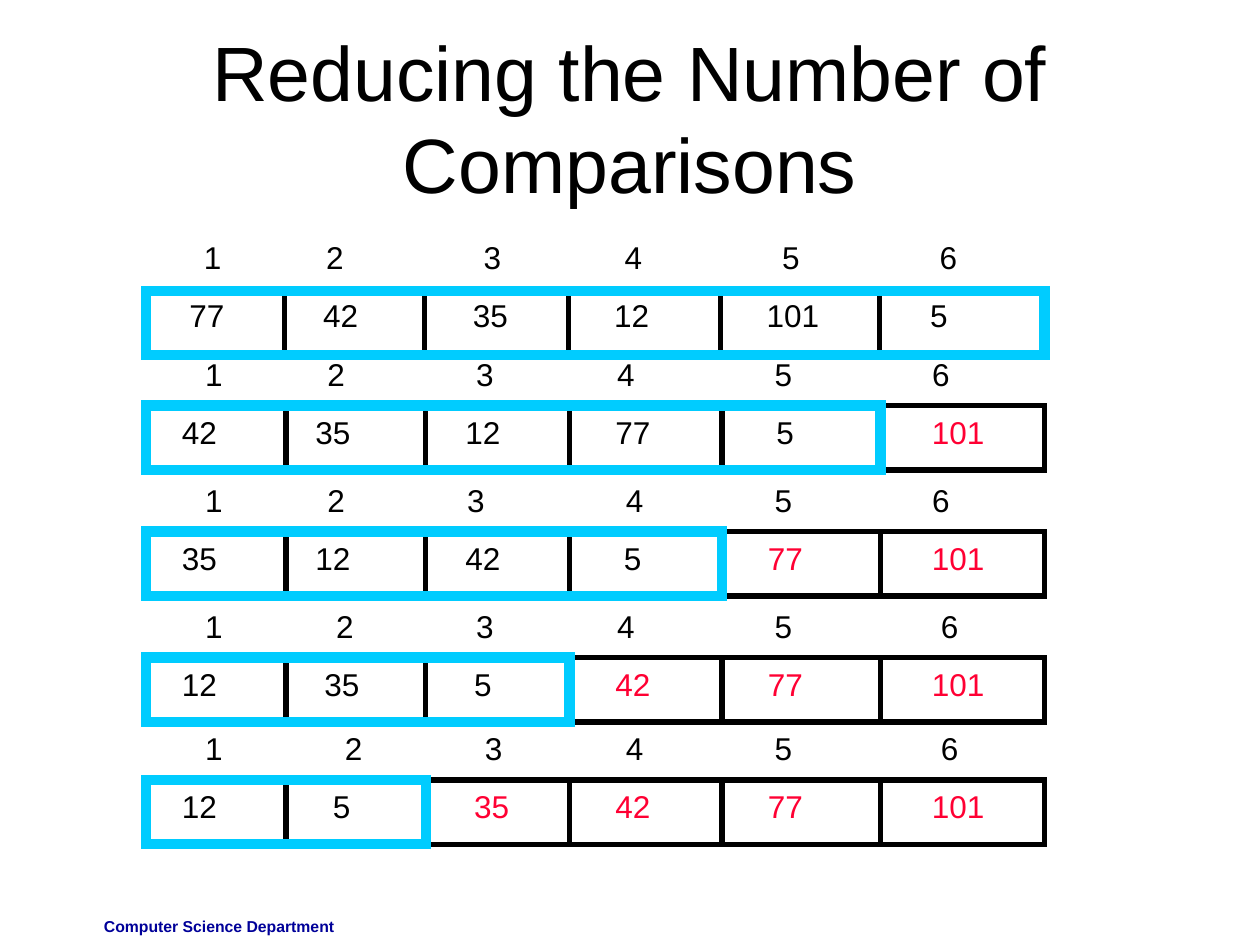
from typing import NamedTuple

from lxml.etree import SubElement
from pptx import Presentation
from pptx.dml.color import RGBColor
from pptx.enum.shapes import MSO_CONNECTOR as Link, MSO_SHAPE as Shape
from pptx.enum.text import MSO_ANCHOR as Anchor, PP_ALIGN as Align
from pptx.oxml.ns import qn
from pptx.util import Inches, Pt

HUES = {"ink": "000000", "done": "FF0033", "frame": "00CCFF", "foot": "000099"}
LEFT, WIDE, HIGH = 1.16, 7.13, 0.51
EDGES = [2.27, 3.38, 4.52, 5.73, 6.99, LEFT + WIDE]
SLOTS = [1.34, 2.4, 3.59, 4.78, 5.92, 7.22]
DIGIT, SPACE = 0.14, 0.07


class Pass(NamedTuple):
    """One pass: its top, shift, open cells, values, indents and index stops."""
    top: float
    shift: float
    open: int
    values: list[int]
    leads: list[int]
    stops: list[float]


PASSES = [
    Pass(2.29, -0.01, 6, [77, 42, 35, 12, 101, 5], [1, 1, 1, 0, 1, 1],
         [0.97, 2.22, 3.34, 4.59, 5.84]),
    Pass(3.22, 0, 5, [42, 35, 12, 77, 5, 101], [0, 0, 0, 0, 2, 1],
         [0.97, 2.15, 3.27, 4.52, 5.77]),
    Pass(4.22, 0, 4, [35, 12, 42, 5, 77, 101], [0, 0, 0, 1, 1, 1],
         [0.97, 2.08, 3.34, 4.52, 5.77]),
    Pass(5.22, 0, 3, [12, 35, 5, 42, 77, 101], [0, 1, 1, 0, 1, 1],
         [1.04, 2.15, 3.27, 4.52, 5.84]),
    Pass(6.19, 0, 2, [12, 5, 35, 42, 77, 101], [0, 2, 1, 0, 1, 1],
         [1.11, 2.22, 3.34, 4.52, 5.84]),
]


def tint(name: str) -> RGBColor:
    """Look up a colour by name."""
    return RGBColor.from_string(HUES[name])


def write(slide, text: str, at: tuple, size: float, hue: str, align: Align,
          bold: bool = False, wrap: bool = True, stops: tuple = ()):
    """Add a text box with one paragraph and return its frame."""
    frame = slide.shapes.add_textbox(*map(Inches, at)).text_frame
    frame.word_wrap = wrap
    para = frame.paragraphs[0]
    para.text = text
    para.alignment = align
    if stops:
        tabs = SubElement(para._p.get_or_add_pPr(), qn("a:tabLst"))
        for stop in stops:
            SubElement(tabs, qn("a:tab"), pos=str(Inches(stop)), algn="l")
    font = para.font
    font.name, font.size, font.bold = "Arial", Pt(size), bold
    font.color.rgb = tint(hue)
    return frame


def outline(slide, at: tuple, hue: str, weight: float) -> None:
    """Add an unfilled rectangle with sharp corners."""
    box = slide.shapes.add_shape(Shape.RECTANGLE, *map(Inches, at))
    box.shadow.inherit = False
    box.fill.background()
    box.line.color.rgb = tint(hue)
    box.line.width = Pt(weight)
    SubElement(box._element.spPr.find(qn("a:ln")), qn("a:miter"), lim="800000")


def divide(slide, x: float, top: float) -> None:
    """Add a vertical line between two cells."""
    line = slide.shapes.add_connector(
        Link.STRAIGHT, *map(Inches, (x, top, x, top + HIGH)))
    line.line.color.rgb = tint("ink")
    line.line.width = Pt(3)
    SubElement(line._element.spPr, qn("a:effectLst"))


def draw(slide, row: Pass) -> None:
    """Draw one pass with its index, cells and frame."""
    left = LEFT + row.shift
    outline(slide, (left, row.top, WIDE, HIGH), "ink", 3)
    for x in EDGES[:-1]:
        divide(slide, x + row.shift, row.top)
    for i, (value, lead, x) in enumerate(zip(row.values, row.leads, SLOTS)):
        text = str(value)
        width = 0.2 + lead * SPACE + len(text) * DIGIT
        hue = "ink" if i < row.open else "done"
        write(slide, text, (x + row.shift, row.top + 0.01, width, 0.4),
              18, hue, Align.RIGHT, wrap=False)
    index = "\t".join(str(n) for n in range(1, 7))
    write(slide, index, (left + 0.37, row.top - 0.45, 6.2, 0.4),
          18, "ink", Align.LEFT, stops=row.stops)
    drop = 0.02 if row.open == 6 else 0
    outline(slide, (LEFT, row.top + drop, EDGES[row.open - 1] - LEFT, HIGH),
            "frame", 6)


def main() -> None:
    """Build and save the slide."""
    deck = Presentation()
    deck.slide_width, deck.slide_height = Inches(10), Inches(7.5)
    slide = deck.slides.add_slide(deck.slide_layouts[6])
    write(slide, "Computer Science Department", (0.42, 7.23, 2.33, 0.27),
          9, "foot", Align.RIGHT, bold=True)
    title = write(slide, "Reducing the Number of Comparisons",
                  (0.5, 0.3, 9, 1.25), 44, "ink", Align.CENTER)
    title.vertical_anchor = Anchor.MIDDLE
    for row in PASSES:
        draw(slide, row)
    deck.save("out.pptx")


if __name__ == "__main__":
    main()
